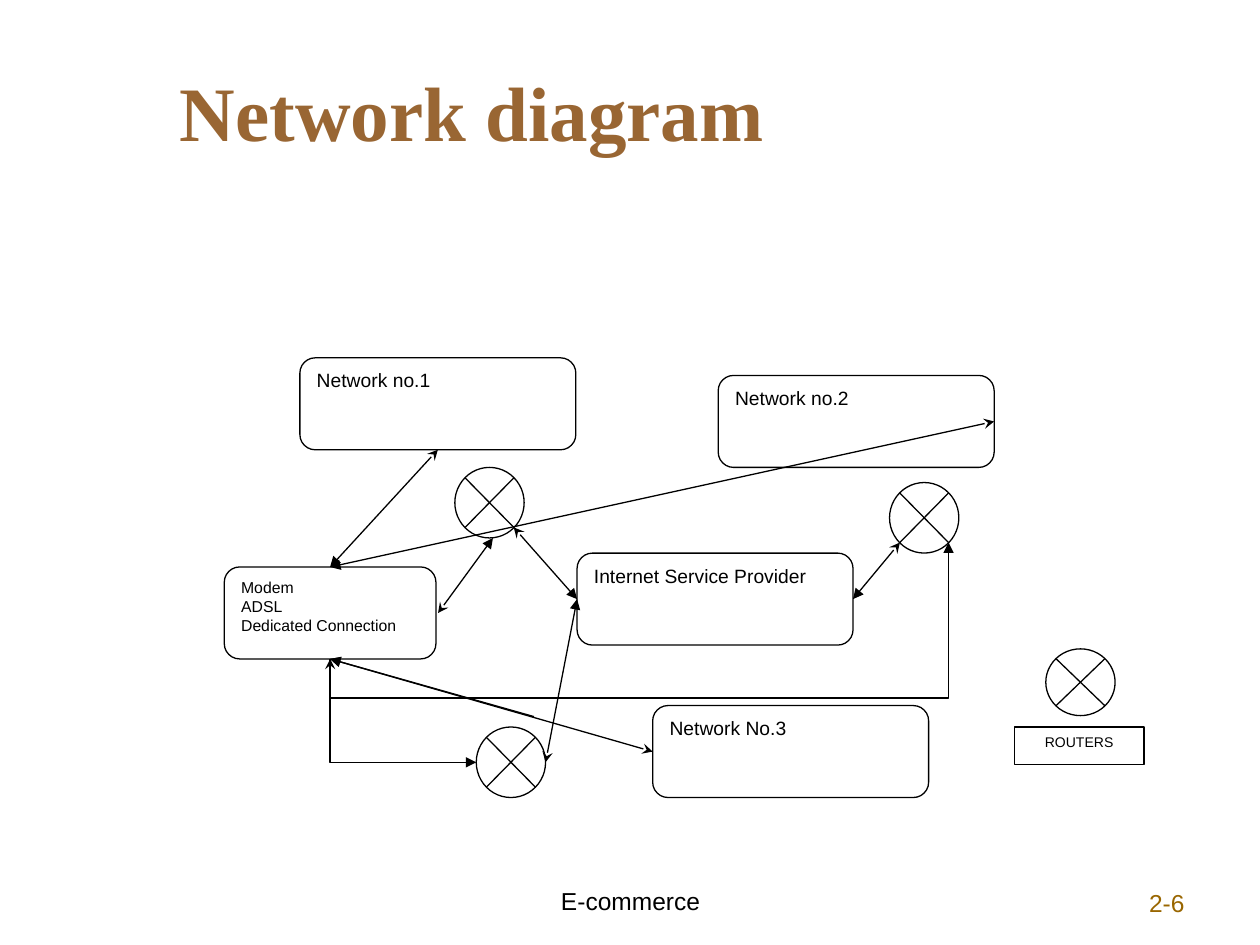
import pptx
import pptx.util
import pptx.dml.color
import pptx.enum.shapes
import pptx.enum.text
import pptx.oxml
import pptx.oxml.ns

KINDS = pptx.enum.shapes.MSO_SHAPE
LINES = pptx.enum.shapes.MSO_CONNECTOR
ALIGN = pptx.enum.text.PP_ALIGN
ANCHOR = pptx.enum.text.MSO_ANCHOR
qn = pptx.oxml.ns.qn

COLS, ROWS = 100, 75
UNIT = pptx.util.Inches(10) // COLS
TOP, LEFT, BOTTOM, RIGHT = (0.5, 0), (0, 0.5), (0.5, 1), (1, 0.5)
SIDES = [TOP, LEFT, BOTTOM, RIGHT]
LOW_LEFT, LOW_RIGHT = (0.15, 0.85), (0.85, 0.85)


def size(cells):
    return round(cells * UNIT)


def color(code):
    return pptx.dml.color.RGBColor.from_string(code)


def write(shape, text, points=11, font="Arial", ink="000000", bold=False,
          align=ALIGN.LEFT, anchor=ANCHOR.TOP):
    frame = shape.text_frame
    frame.word_wrap = True
    frame.vertical_anchor = anchor
    for i, line in enumerate(text.split("\n")):
        para = frame.add_paragraph() if i else frame.paragraphs[0]
        para.alignment = align
        run = para.add_run()
        run.text = line
        run.font.name = font
        run.font.size = pptx.util.Pt(points)
        run.font.bold = bold
        run.font.color.rgb = color(ink)


def label(slide, box, text, **style):
    write(slide.shapes.add_textbox(*map(size, box)), text, **style)


def node(slide, kind, box, text="", **style):
    shape = slide.shapes.add_shape(kind, *map(size, box))
    shape.shadow.inherit = False
    shape.fill.solid()
    shape.fill.fore_color.rgb = color("FFFFFF")
    shape.line.color.rgb = color("000000")
    shape.line.width = pptx.util.Pt(0.75)
    if text:
        write(shape, text, **style)
    return shape


def spot(shape, share):
    """Point at a share of a shape's width and height."""
    return (round(shape.left + share[0] * shape.width),
            round(shape.top + share[1] * shape.height))


def dress(wire, head="stealth"):
    """Thin black line with a triangle at its end and a chosen head."""
    wire.line.color.rgb = color("000000")
    wire.line.width = pptx.util.Pt(0.75)
    ln = wire.line._get_or_add_ln()
    for tag, kind in (("a:headEnd", head), ("a:tailEnd", "triangle")):
        end = pptx.oxml.parse_xml(
            f'<{tag} {pptx.oxml.ns.nsdecls("a")} type="{kind}"/>')
        ln.append(end)
    wire._element.spPr.append(pptx.oxml.parse_xml(
        f'<a:effectLst {pptx.oxml.ns.nsdecls("a")}/>'))


def link(slide, start, start_at, end, end_at, head="stealth"):
    wire = slide.shapes.add_connector(
        LINES.STRAIGHT, *spot(start, start_at), *spot(end, end_at))
    dress(wire, head)
    joins = ((start, start_at, wire.begin_connect),
             (end, end_at, wire.end_connect))
    for shape, share, join in joins:
        boxy = shape.auto_shape_type == KINDS.FLOWCHART_ALTERNATE_PROCESS
        if boxy and share in SIDES:
            join(shape, SIDES.index(share))


def elbow(slide, start, end, kind, turn, flips, head, bend=None):
    """Bent connector leaving its start vertically."""
    (x1, y1), (x2, y2) = start, end
    wide, high = abs(y2 - y1), abs(x2 - x1)
    left, top = (x1 + x2 - wide) // 2, (y1 + y2 - high) // 2
    wire = slide.shapes.add_connector(
        LINES.ELBOW, left, top, left + wide, top + high)
    props = wire._element.spPr
    form = props.find(qn("a:xfrm"))
    form.set("rot", str(turn * 60000))
    for flip in flips:
        form.set(flip, "1")
    shape = props.find(qn("a:prstGeom"))
    shape.set("prst", kind)
    if bend is not None:
        guide = shape.get_or_add_avLst().makeelement(qn("a:gd"), {})
        guide.set("name", "adj1")
        guide.set("fmla", f"val {round(bend * 100000)}")
        shape.get_or_add_avLst().append(guide)
    dress(wire, head)


def diagram(slide, x, y):
    def net(col, row, text, wide=21.9, **style):
        return node(slide, KINDS.FLOWCHART_ALTERNATE_PROCESS,
                    (x + col, y + row, wide, 7.3), text, **style)

    def router(col, row, high=5.6):
        return node(slide, KINDS.FLOWCHART_SUMMING_JUNCTION,
                    (x + col, y + row, 5.5, high))

    one = net(6, 0, "Network no.1")
    isp = net(28, 15.5, "Internet Service Provider")
    two = net(39.2, 1.4, "Network no.2")
    three = net(34, 27.6, "Network No.3")
    modem = net(0, 16.6, "Modem\nADSL\nDedicated Connection",
                wide=16.8, points=9)
    near, far, low = router(18.3, 8.7), router(52.8, 9.9), router(20, 29.3)

    link(slide, one, BOTTOM, modem, TOP)
    link(slide, three, LEFT, modem, BOTTOM)
    link(slide, three, (-0.43, 0.12), modem, BOTTOM, head="none")
    link(slide, near, LOW_RIGHT, isp, LEFT)
    link(slide, two, RIGHT, modem, TOP)
    link(slide, modem, (1.01, 0.5), near, (0.55, 1))
    link(slide, far, LOW_LEFT, isp, RIGHT)
    link(slide, low, RIGHT, isp, LEFT)

    base = spot(modem, BOTTOM)
    elbow(slide, base, spot(far, LOW_RIGHT), "bentConnector3", 90,
          ("flipH", "flipV"), "stealth", bend=-0.335)
    elbow(slide, base, spot(low, LEFT), "bentConnector2", 270,
          ("flipH",), "none")

    router(65.2, 23.1, high=5.3)
    node(slide, KINDS.RECTANGLE, (x + 62.7, y + 29.3, 10.3, 3), "ROUTERS",
         points=8, align=ALIGN.CENTER)


def frame(slide):
    """Title, footer and slide number."""
    label(slide, (13.3, 2.5, 86.7, 12.5), "Network diagram", points=44,
          font="Times New Roman", ink="996633", bold=True,
          anchor=ANCHOR.MIDDLE)
    label(slide, (71.7, 70, 23.3, 5), "2-6", points=14, ink="996600",
          align=ALIGN.RIGHT)
    label(slide, (29.2, 69.8, 41.7, 5.2), "E-commerce", points=14,
          align=ALIGN.CENTER)


def main():
    deck = pptx.Presentation()
    deck.slide_width, deck.slide_height = size(COLS), size(ROWS)
    slide = deck.slides.add_slide(deck.slide_layouts[6])
    frame(slide)
    diagram(slide, 17.8, 28.4)
    deck.save("out.pptx")


if __name__ == "__main__":
    main()
